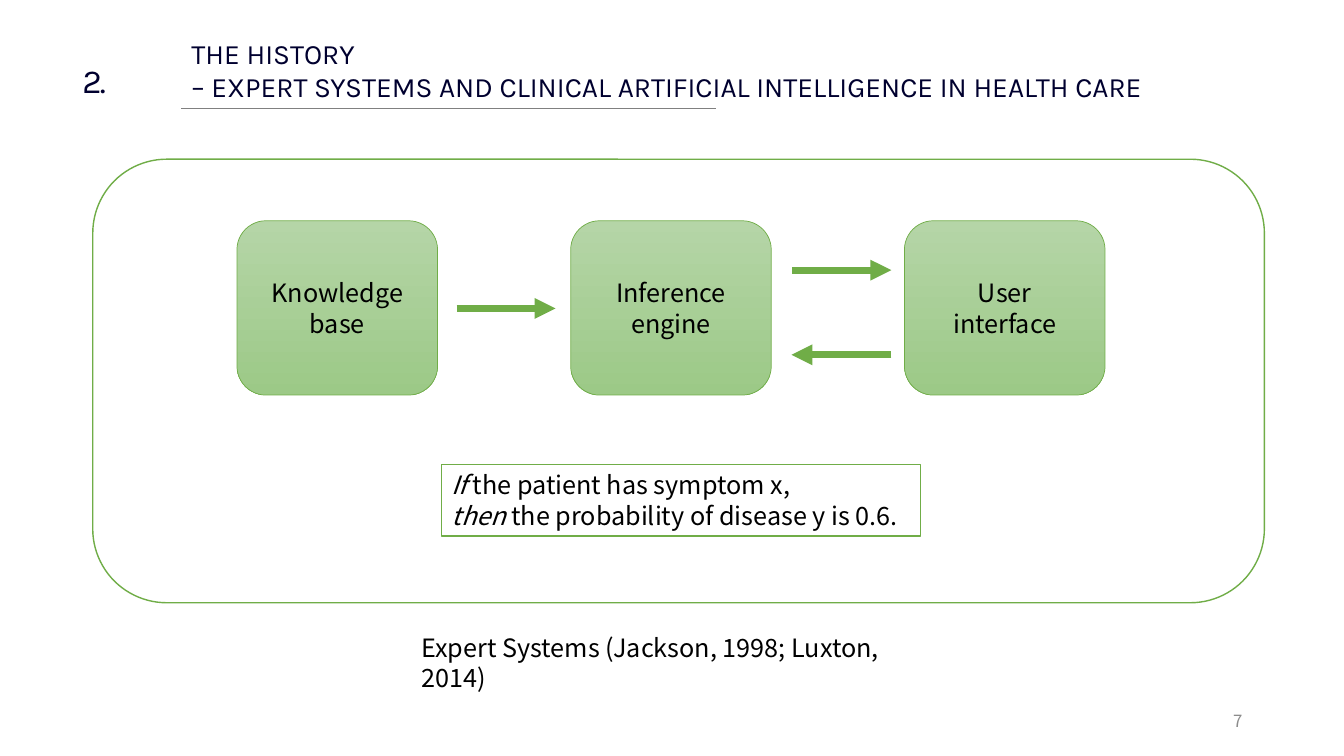
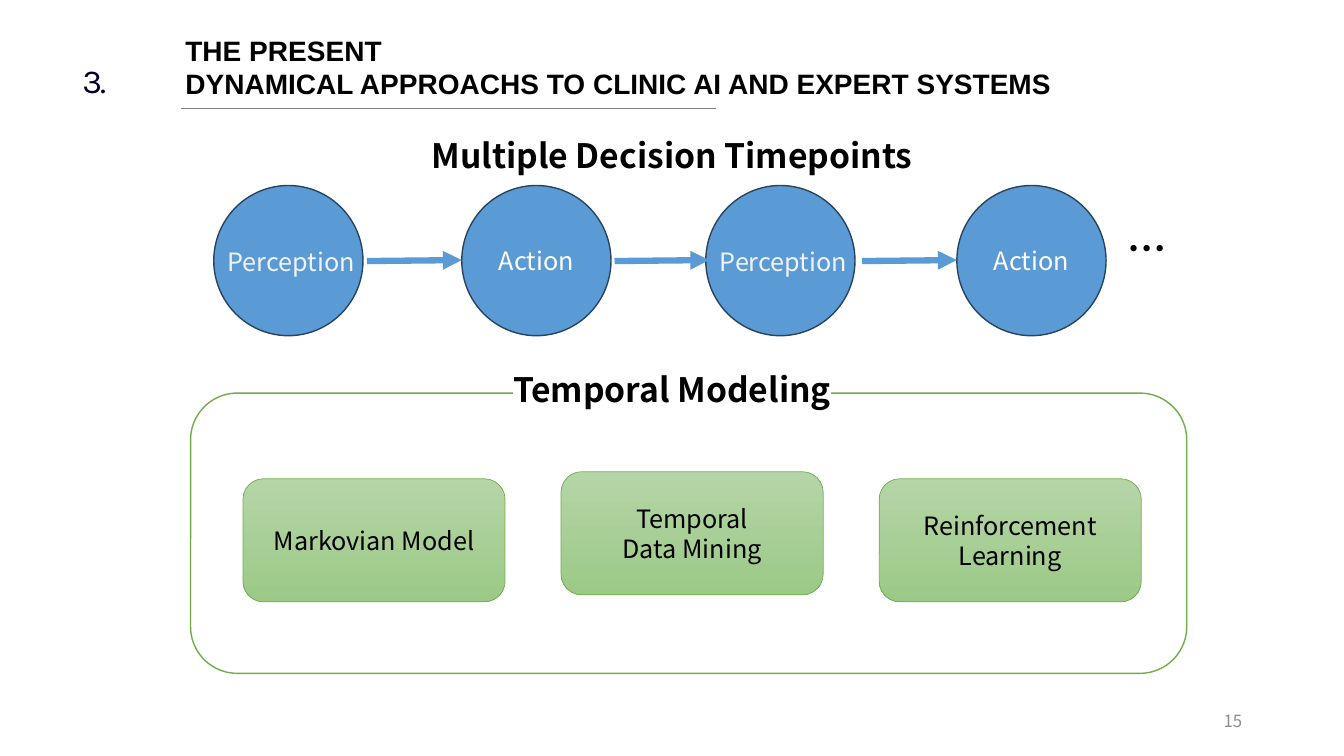
from typing import NamedTuple, Optional, Sequence, Union

from lxml import etree
from pptx import Presentation
from pptx.dml.color import RGBColor
from pptx.enum.shapes import MSO_CONNECTOR, MSO_SHAPE
from pptx.enum.text import MSO_ANCHOR, PP_ALIGN
from pptx.oxml.ns import qn
from pptx.util import Inches, Pt

# Enum members
ROUND, RECT, OVAL = MSO_SHAPE.ROUNDED_RECTANGLE, MSO_SHAPE.RECTANGLE, MSO_SHAPE.OVAL
STRAIGHT = MSO_CONNECTOR.STRAIGHT
LEFT, CENTER, RIGHT = PP_ALIGN.LEFT, PP_ALIGN.CENTER, PP_ALIGN.RIGHT
TOP, MIDDLE = MSO_ANCHOR.TOP, MSO_ANCHOR.MIDDLE

# Colours
BLACK = RGBColor(0x00, 0x00, 0x00)
WHITE = RGBColor(0xFF, 0xFF, 0xFF)
PALE = RGBColor(0xF2, 0xF2, 0xF2)
NAVY = RGBColor(0x00, 0x00, 0x2F)
GRAY = RGBColor(0x80, 0x80, 0x80)
NUMBER_GRAY = RGBColor(0x8C, 0x8C, 0x8C)
GREEN = RGBColor(0x70, 0xAD, 0x47)
GREEN_TOP = RGBColor(0xB5, 0xD5, 0xA7)
GREEN_BOTTOM = RGBColor(0x9C, 0xC9, 0x87)
BLUE = RGBColor(0x5B, 0x9B, 0xD5)
BLUE_EDGE = RGBColor(0x28, 0x44, 0x5D)

# Fonts
BODY, HEAD, BOLD_HEAD = "Noto Sans CJK KR", "Karla", "Arial"
LINE_HEIGHT = 1.2


class Box(NamedTuple):
    left: float
    top: float
    width: float
    height: float


class Arrow(NamedTuple):
    x1: float
    y1: float
    x2: float
    y2: float


class Step(NamedTuple):
    left: float
    label: str
    boxed: bool  # label sits in its own text box, wider than the circle allows


class Card(NamedTuple):
    top: float
    label: str


# A tuple is an italic lead followed by upright text
Line = Union[str, tuple[str, str]]


def write(s, lines: Sequence[Line], *, size: float = 18, font: str = BODY,
          color: RGBColor = BLACK, bold: bool = False, align=LEFT, anchor=TOP,
          spacing: Optional[int] = None, highlight: Optional[RGBColor] = None) -> None:
    """Fill a shape with one paragraph per line."""
    tf = s.text_frame
    tf.word_wrap = True
    tf.vertical_anchor = anchor
    for i, line in enumerate(lines):
        p = tf.paragraphs[0] if i == 0 else tf.add_paragraph()
        p.alignment = align
        p.line_spacing = Pt(size * LINE_HEIGHT)
        runs = [(line, False)] if isinstance(line, str) else [(line[0], True), (line[1], False)]
        for text, italic in runs:
            r = p.add_run()
            r.text = text
            f = r.font
            f.size, f.name, f.bold, f.italic = Pt(size), font, bold, italic
            f.color.rgb = color
            rpr = r._r.get_or_add_rPr()
            if spacing is not None:
                rpr.set("spc", str(spacing))
            if highlight is not None:
                mark = etree.Element(qn("a:highlight"))
                etree.SubElement(mark, qn("a:srgbClr"), val=str(highlight))
                rpr.find(qn("a:solidFill")).addnext(mark)


def add_text(slide, box: Box, *lines: Line, **fmt) -> None:
    write(slide.shapes.add_textbox(*map(Inches, box)), lines, **fmt)


def add_shape(slide, kind, box: Box, edge: RGBColor, weight: float = 1,
              fill: Optional[RGBColor] = None):
    s = slide.shapes.add_shape(kind, *map(Inches, box))
    s.shadow.inherit = False
    s.line.color.rgb = edge
    s.line.width = Pt(weight)
    if fill is None:
        s.fill.background()
    else:
        s.fill.solid()
        s.fill.fore_color.rgb = fill
    return s


def add_card(slide, box: Box, *lines: str) -> None:
    """Green gradient box with a centred label."""
    s = add_shape(slide, ROUND, box, GREEN, 0.5)
    s.fill.gradient()
    s.fill.gradient_angle = 270
    for stop, color in zip(s.fill.gradient_stops, (GREEN_TOP, GREEN_BOTTOM)):
        stop.color.rgb = color
    write(s, lines, align=CENTER, anchor=MIDDLE)


def add_line(slide, ends: Arrow, color: RGBColor, weight: float, arrow: bool = True) -> None:
    s = slide.shapes.add_connector(STRAIGHT, *map(Inches, ends))
    s.line.color.rgb = color
    s.line.width = Pt(weight)
    if arrow:
        etree.SubElement(s.line._get_or_add_ln(), qn("a:tailEnd"), type="triangle")
    etree.SubElement(s._element.spPr, qn("a:effectLst"))


def add_base(prs, section: str, page: int, title_at: tuple[float, float],
             title: Sequence[str], **title_fmt):
    """Blank slide with section number, title, rule and page number."""
    slide = prs.slides.add_slide(prs.slide_layouts[6])
    add_text(slide, Box(*title_at, 10.49, 0.77), *title, size=20, **title_fmt)
    add_line(slide, Arrow(1.8, 1.08, 7.1, 1.08), GRAY, 0.5, arrow=False)
    add_text(slide, Box(0.72, 0.55, 1.17, 0.5), section,
             size=24, font=HEAD, color=NAVY, spacing=-150)
    add_text(slide, Box(9.42, 6.95, 3, 0.4), str(page),
             size=12, color=NUMBER_GRAY, align=RIGHT, anchor=MIDDLE)
    return slide


def add_heading(slide, top: float, text: str) -> None:
    add_text(slide, Box(3.33, top, 6.67, 0.5), text,
             size=24, bold=True, align=CENTER, highlight=WHITE)


def build_history(prs) -> None:
    slide = add_base(
        prs, "2.", 7, (1.8, 0.31),
        ("THE HISTORY",
         "– EXPERT SYSTEMS AND CLINICAL ARTIFICIAL INTELLIGENCE IN HEALTH CARE"),
        font=HEAD, color=NAVY)
    add_shape(slide, ROUND, Box(0.92, 1.58, 11.62, 4.4), GREEN)

    # Expert system parts
    parts = (("Knowledge", "base"), ("Inference", "engine"), ("User", "interface"))
    for i, label in enumerate(parts):
        add_card(slide, Box(2.35 + i * 3.31, 2.19, 1.99, 1.73), *label)
    for ends in (Arrow(4.53, 3.06, 5.51, 3.06), Arrow(7.86, 2.68, 8.84, 2.68),
                 Arrow(8.84, 3.52, 7.85, 3.52)):
        add_line(slide, ends, GREEN, 5)

    # Example rule and source
    rule = add_shape(slide, RECT, Box(4.38, 4.61, 4.75, 0.71), GREEN, fill=WHITE)
    write(rule, (("If", " the patient has symptom x,"),
                 ("then", " the probability of disease y is 0.6.")))
    add_text(slide, Box(4.08, 6.22, 5.2, 0.7), "Expert Systems (Jackson, 1998; Luxton, 2014)")


def build_present(prs) -> None:
    slide = add_base(
        prs, "3.", 15, (1.74, 0.28),
        ("THE PRESENT", "DYNAMICAL APPROACHS TO CLINIC AI AND EXPERT SYSTEMS"),
        font=BOLD_HEAD, bold=True)

    # Temporal modeling panel
    add_shape(slide, ROUND, Box(1.89, 3.9, 9.88, 2.78), GREEN, fill=WHITE)
    cards = (Card(4.75, "Markovian Model"), Card(4.68, "Temporal\nData Mining"),
             Card(4.75, "Reinforcement\nLearning"))
    for i, card in enumerate(cards):
        add_card(slide, Box(2.41 + i * 3.155, card.top, 2.6, 1.22), *card.label.split("\n"))
    add_heading(slide, 3.61, "Temporal Modeling")

    # Decision chain
    add_heading(slide, 1.29, "Multiple Decision Timepoints")
    steps = (Step(2.12, "Perception", True), Step(4.58, "Action", False),
             Step(7, "Perception", True), Step(9.49, "Action", False))
    for step in steps:
        circle = add_shape(slide, OVAL, Box(step.left, 1.84, 1.48, 1.49), BLUE_EDGE, fill=BLUE)
        if step.boxed:
            add_text(slide, Box(step.left + 0.04, 2.39, 1.55, 0.4), step.label, color=PALE)
        else:
            write(circle, (step.label,), color=WHITE, align=CENTER, anchor=MIDDLE)
    for i in range(len(steps) - 1):
        x = 3.64 + i * 2.455
        add_line(slide, Arrow(x, 2.59, x + 0.94, 2.58), BLUE, 4.5)
    add_text(slide, Box(11.08, 2.18, 0.7, 0.57), "…", size=28, bold=True)


def main() -> None:
    prs = Presentation()
    prs.slide_width, prs.slide_height = Inches(13.33), Inches(7.5)
    build_history(prs)
    build_present(prs)
    prs.save("out.pptx")


if __name__ == "__main__":
    main()
